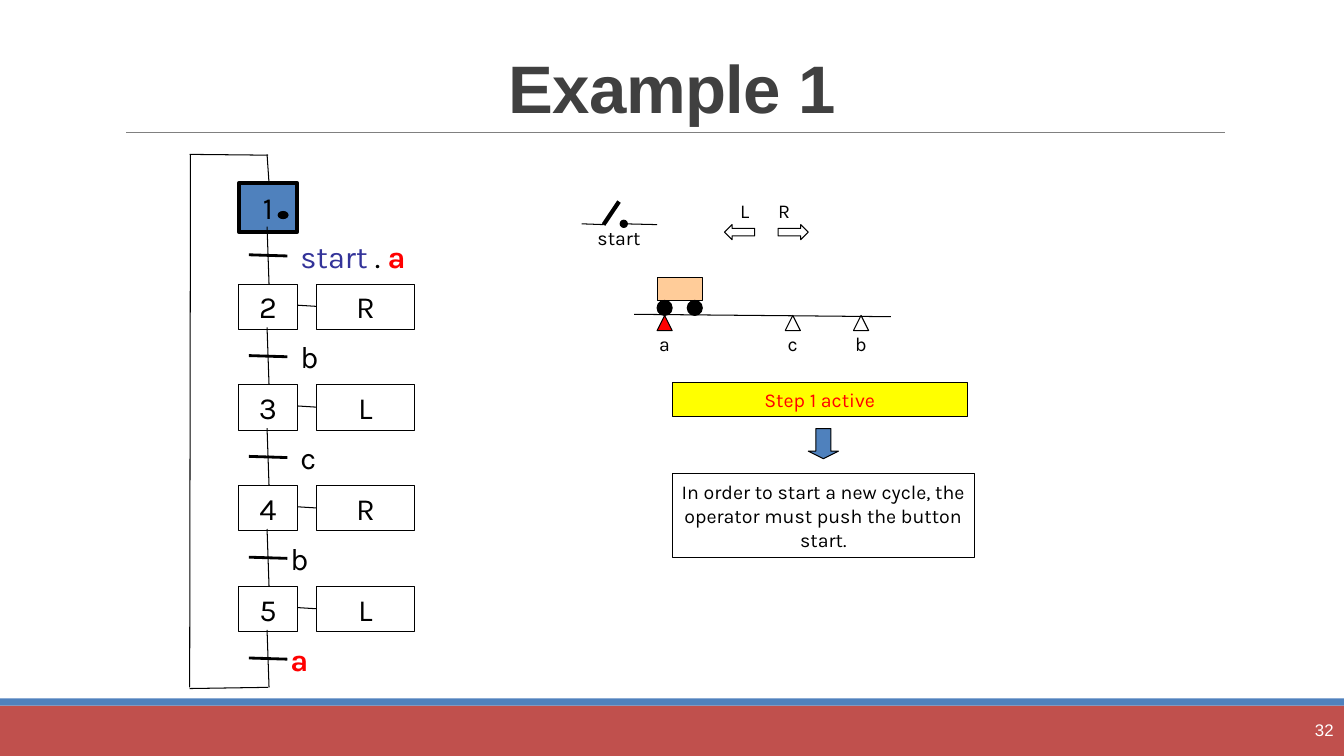
from pptx import Presentation
from pptx.dml.color import RGBColor
from pptx.enum.shapes import MSO_CONNECTOR, MSO_SHAPE as Shape
from pptx.enum.text import MSO_ANCHOR as Anchor, PP_ALIGN as Align
from pptx.oxml.ns import qn
from pptx.util import Cm, Pt
from lxml.etree import SubElement

COLORS = {
    "black": "000000", "white": "FFFFFF", "title": "404040", "rule": "808080",
    "blue": "4F81BD", "brick": "C0504D", "peach": "FFCC99", "red": "FF0000",
    "yellow": "FFFF00", "indigo": "333399",
}
SMALL = {"size": 14, "spacing": Pt(17.1)}
LARGE = {"size": 22, "spacing": Pt(26.1)}
PITCH = 2.54


class SlideBuilder:
    """Draws styled elements on one slide, with lengths in centimetres."""

    def __init__(self, deck):
        self.font = "Karla"
        self.slide = deck.slides.add_slide(deck.slide_layouts[6])

    def color(self, name):
        return RGBColor.from_string(COLORS[name])

    def fill_text(self, shape, parts, size=14, spacing=None, align=Align.CENTER,
                  anchor=Anchor.MIDDLE, font=None, inset=0):
        frame = shape.text_frame
        frame.word_wrap = True
        frame.vertical_anchor = anchor
        frame.margin_left = frame.margin_right = Cm(inset)
        frame.margin_top = frame.margin_bottom = Cm(inset / 2)
        para = frame.paragraphs[0]
        para.alignment = align
        if spacing:
            para.line_spacing = spacing
        for text, color, bold in parts:
            span = para.add_run()
            span.text = text
            span.font.name = font or self.font
            span.font.size = Pt(size)
            span.font.bold = bold
            span.font.color.rgb = self.color(color)
        return shape

    def text(self, left, top, width, height, parts, **style):
        box = self.slide.shapes.add_textbox(Cm(left), Cm(top), Cm(width), Cm(height))
        return self.fill_text(box, parts, **style)

    def label(self, center, top, text, width=0.97):
        self.text(center - width / 2, top, width, 0.61, [(text, "black", False)],
                  anchor=Anchor.TOP, **SMALL)

    def shape(self, kind, left, top, width, height, fill=None, line="black", weight=0.75):
        shape = self.slide.shapes.add_shape(kind, Cm(left), Cm(top), Cm(width), Cm(height))
        shape.shadow.inherit = False
        if fill:
            shape.fill.solid()
            shape.fill.fore_color.rgb = self.color(fill)
        else:
            shape.fill.background()
        if line:
            shape.line.color.rgb = self.color(line)
            shape.line.width = Pt(weight)
        else:
            shape.line.fill.background()
        return shape

    def box(self, left, top, width, height, text, style, color="black", **look):
        box = self.shape(Shape.RECTANGLE, left, top, width, height, **look)
        self.fill_text(box, [(text, color, False)], **style)

    def line(self, x1, y1, x2, y2, color="black", weight=0.75, head=None):
        line = self.slide.shapes.add_connector(
            MSO_CONNECTOR.STRAIGHT, Cm(x1), Cm(y1), Cm(x2), Cm(y2))
        line.line.color.rgb = self.color(color)
        line.line.width = Pt(weight)
        properties = line._element.spPr
        if head:
            SubElement(properties.find(qn("a:ln")), qn("a:headEnd"), type=head)
        SubElement(properties, qn("a:effectLst"))

    def arrow(self, kind, left, top, width, height, head, fill=None):
        arrow = self.shape(kind, left, top, width, height, fill)
        arrow.adjustments[0] = 0.5
        arrow.adjustments[1] = head


def draw_frame(page):
    page.shape(Shape.RECTANGLE, 0, 17.78, 33.87, 1.27, "brick", None)
    page.shape(Shape.RECTANGLE, 0, 17.6, 33.87, 0.18, "blue", None)
    page.line(3.18, 3.33, 30.86, 3.33, "rule", 0.5)
    title = page.text(2.97, 0.43, 27.94, 2.9, [("Example 1", "title", True)], size=48,
                      spacing=0.85, anchor=Anchor.BOTTOM, font="Arial", inset=0.25)
    title.text_frame.paragraphs[0].runs[0].font._element.set("spc", "-50")
    page.text(30.23, 17.88, 3.63, 1.02, [("32", "white", False)], size=12,
              align=Align.RIGHT, font="Arial", inset=0.25)


def draw_cart(page):
    page.line(15.98, 7.92, 22.45, 7.98)
    page.shape(Shape.RECTANGLE, 16.56, 6.99, 1.14, 0.58, "peach")
    for left in (16.56, 17.32):
        page.shape(Shape.OVAL, left, 7.57, 0.38, 0.38, "black")
    for name, center, fill in (("a", 16.75, "red"), ("c", 19.98, None), ("b", 21.7, None)):
        page.shape(Shape.ISOSCELES_TRIANGLE, center - 0.19, 7.95, 0.38, 0.38, fill)
        page.label(center, 8.36, name)
    page.line(15.21, 5.66, 15.6, 5.08, weight=3)
    page.line(14.66, 5.64, 15.21, 5.66)
    page.line(15.72, 5.64, 16.56, 5.66, head="oval")
    page.label(15.6, 5.69, "start", 1.73)
    for name, center, kind, left in (("L", 18.77, Shape.LEFT_ARROW, 18.26),
                                     ("R", 19.76, Shape.RIGHT_ARROW, 19.61)):
        page.label(center, 5, name)
        page.arrow(kind, left, 5.66, 0.76, 0.38, 0.5)


def draw_explanation(page):
    page.box(16.94, 9.65, 7.44, 0.85, "Step 1 active", SMALL, "red", fill="yellow")
    page.arrow(Shape.DOWN_ARROW, 20.37, 10.8, 0.76, 0.76, 0.25, "blue")
    page.box(16.94, 11.94, 7.62, 2.1, "In order to start a new cycle, the operator "
             "must push the button start.", SMALL)


def draw_grafcet(page):
    steps = (
        (None, 7.57, [("start ", "indigo", False), (". ", "black", False), ("a", "red", True)]),
        ("R", 7.57, [("b", "black", False)]),
        ("L", 7.57, [("c", "black", False)]),
        ("R", 7.32, [("b", "black", False)]),
        ("L", 7.32, [("a", "red", True)]),
    )
    for index, (action, label_left, condition) in enumerate(steps):
        top = 4.62 + index * PITCH
        if action:
            page.box(6.02, top, 1.47, 1.14, str(index + 1), LARGE)
            page.line(7.49, top + 0.53, 7.98, top + 0.56)
            page.box(7.98, top, 2.46, 1.14, action, LARGE)
        else:
            page.box(6.02, top, 1.47, 1.22, str(index + 1), LARGE, fill="blue", weight=3)
        page.line(6.73, top + 1.09, 6.78, top + PITCH)
        page.line(6.27, top + 1.8, 7.24, top + 1.83, weight=2)
        page.text(label_left, top + 1.37, 3.28, 0.91, condition,
                  align=Align.LEFT, anchor=Anchor.TOP, **LARGE)
    page.shape(Shape.OVAL, 7.01, 5.33, 0.25, 0.18, "black")
    page.line(6.76, 17.32, 4.78, 17.35)
    page.line(4.78, 17.32, 4.8, 3.89)
    page.line(4.78, 3.89, 6.76, 3.91)
    page.line(6.73, 3.89, 6.78, 4.62)


def main():
    deck = Presentation()
    deck.slide_width, deck.slide_height = Cm(33.87), Cm(19.05)
    page = SlideBuilder(deck)
    draw_frame(page)
    draw_cart(page)
    draw_explanation(page)
    draw_grafcet(page)
    deck.save("out.pptx")


if __name__ == "__main__":
    main()
